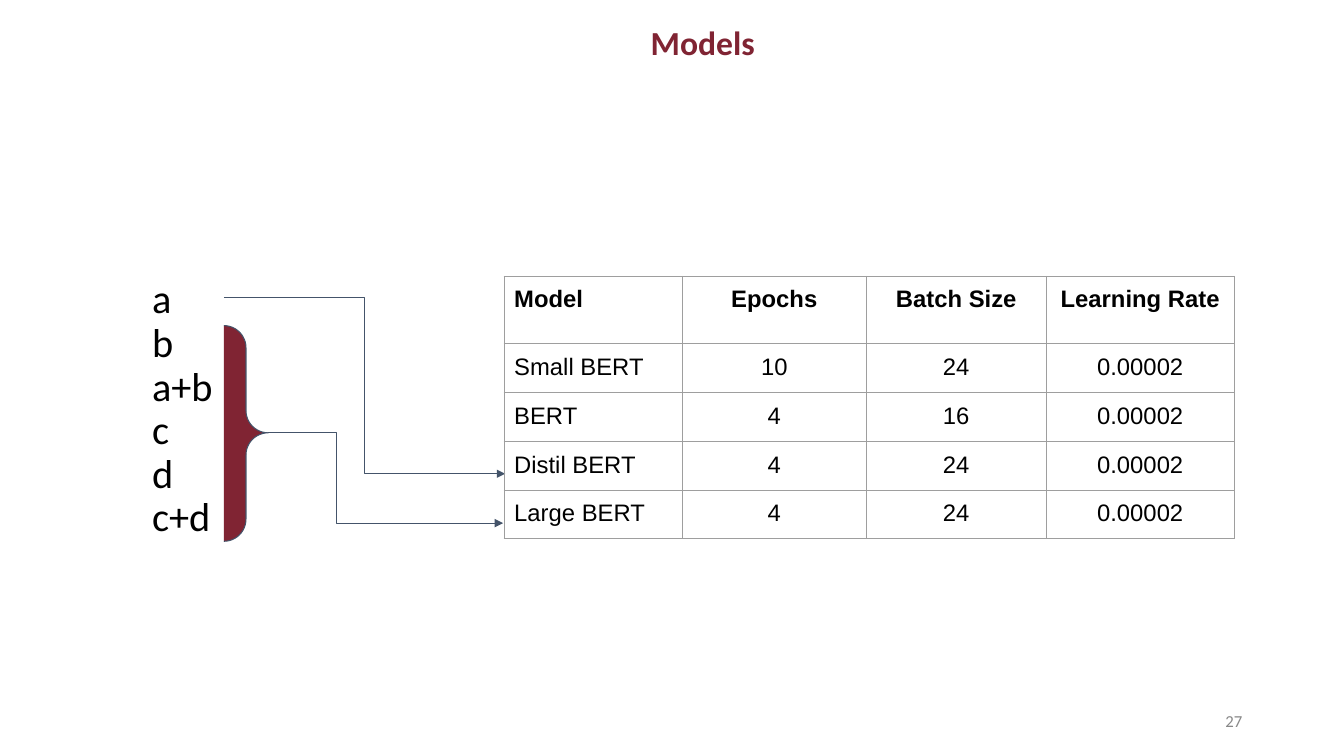
from lxml.etree import SubElement
from pptx import Presentation
from pptx.dml.color import RGBColor
from pptx.enum.shapes import MSO_CONNECTOR, MSO_SHAPE
from pptx.enum.text import MSO_ANCHOR, PP_ALIGN
from pptx.oxml.ns import qn
from pptx.util import Inches, Pt

MAROON, SLATE, GREY, BLACK = "802433", "44546A", "9E9E9E", "000000"
LINE_WIDTH = Pt(0.75)
COLUMN_WIDTHS = [1.77, 1.82, 1.79, 1.86]
ROW_HEIGHTS = [0.67] + [0.43] * 4
FEATURES = ["a", "b", "a+b", "c", "d", "c+d"]
MODELS = [
    ["Model", "Epochs", "Batch Size", "Learning Rate"],
    ["Small BERT", "10", "24", "0.00002"],
    ["BERT", "4", "16", "0.00002"],
    ["Distil BERT", "4", "24", "0.00002"],
    ["Large BERT", "4", "24", "0.00002"],
]


def rgb(color):
    return RGBColor.from_string(color)


def write(tf, lines, size, font="Calibri", color=BLACK, bold=False,
          align=PP_ALIGN.LEFT, spacing=None, before=None):
    """Fill a text frame with one paragraph per line."""
    for i, line in enumerate(lines):
        p = tf.add_paragraph() if i else tf.paragraphs[0]
        p.alignment, p.line_spacing = align, spacing
        if before is not None:
            p.space_before = Pt(before)
        r = p.add_run()
        r.text = line
        r.font.size, r.font.name, r.font.bold = Pt(size), font, bold
        r.font.color.rgb = rgb(color)


def add_text(s, box, lines, size, anchor=MSO_ANCHOR.TOP, inset=0.05, **style):
    tf = s.shapes.add_textbox(*map(Inches, box)).text_frame
    tf.word_wrap = True
    tf.vertical_anchor = anchor
    tf.margin_top = tf.margin_bottom = Inches(inset)
    write(tf, lines, size, **style)


def add_brace(s, box):
    sp = s.shapes.add_shape(MSO_SHAPE.LEFT_BRACE, *map(Inches, box))
    sp.rotation = 180
    sp.adjustments[0], sp.adjustments[1] = 0.5, 0.503
    sp.shadow.inherit = False
    sp.fill.solid()
    sp.fill.fore_color.rgb = rgb(MAROON)
    sp.line.color.rgb = rgb(SLATE)
    sp.line.width = LINE_WIDTH


def add_elbow_arrow(s, start, end, bend):
    """Draw an elbow arrow that turns at the share `bend` of its width."""
    c = s.shapes.add_connector(MSO_CONNECTOR.ELBOW, *map(Inches, start + end))
    c.line.color.rgb = rgb(SLATE)
    c.line.width = LINE_WIDTH
    props = c._element.spPr
    guides = props.find(qn("a:prstGeom")).find(qn("a:avLst"))
    if guides is None:
        guides = SubElement(props.find(qn("a:prstGeom")), qn("a:avLst"))
    SubElement(guides, qn("a:gd"), name="adj1", fmla=f"val {round(bend * 100000)}")
    SubElement(props.find(qn("a:ln")), qn("a:tailEnd"), type="triangle")
    SubElement(props, qn("a:effectLst"))


def add_borders(cell):
    props = cell._tc.get_or_add_tcPr()
    for side in ("lnL", "lnR", "lnT", "lnB"):
        ln = SubElement(props, qn(f"a:{side}"), w=str(LINE_WIDTH))
        fill = SubElement(ln, qn("a:solidFill"))
        SubElement(fill, qn("a:srgbClr"), val=GREY)


def add_model_table(s, left, top):
    size = sum(COLUMN_WIDTHS), sum(ROW_HEIGHTS)
    table = s.shapes.add_table(len(MODELS), len(COLUMN_WIDTHS),
                               *map(Inches, (left, top, *size))).table
    table.first_row = table.horz_banding = False
    for column, width in zip(table.columns, COLUMN_WIDTHS):
        column.width = Inches(width)
    for i, (row, height) in enumerate(zip(table.rows, ROW_HEIGHTS)):
        row.height = Inches(height)
        for j, cell in enumerate(row.cells):
            cell.margin_top = cell.margin_bottom = Inches(0.1)
            cell.margin_left = cell.margin_right = Inches(0.1)
            add_borders(cell)
            cell.fill.background()
            write(cell.text_frame, [MODELS[i][j]], 17, font="Arial", bold=i == 0,
                  align=PP_ALIGN.CENTER if j else PP_ALIGN.LEFT)


def main():
    prs = Presentation()
    prs.slide_width, prs.slide_height = Inches(13.33), Inches(7.5)
    s = prs.slides.add_slide(prs.slide_layouts[6])
    add_text(s, (9.42, 6.95, 3, 0.4), ["27"], 12, anchor=MSO_ANCHOR.MIDDLE,
             color="888888", align=PP_ALIGN.RIGHT)
    add_text(s, (0.41, 0.16, 13.12, 0.57), ["Models"], 24, inset=0.1, color=MAROON,
             bold=True, align=PP_ALIGN.CENTER, spacing=0.9, before=5)
    add_text(s, (1.41, 2.68, 1.12, 2.73), FEATURES, 28.8,
             anchor=MSO_ANCHOR.BOTTOM, spacing=0.9, before=0)
    add_brace(s, (2.22, 3.23, 0.44, 2.14))
    add_elbow_arrow(s, (2.22, 2.95), (5.01, 4.7), 0.5)
    add_elbow_arrow(s, (2.66, 4.29), (4.99, 5.19), 0.29)
    add_model_table(s, 5, 2.74)
    prs.save("out.pptx")


if __name__ == "__main__":
    main()
